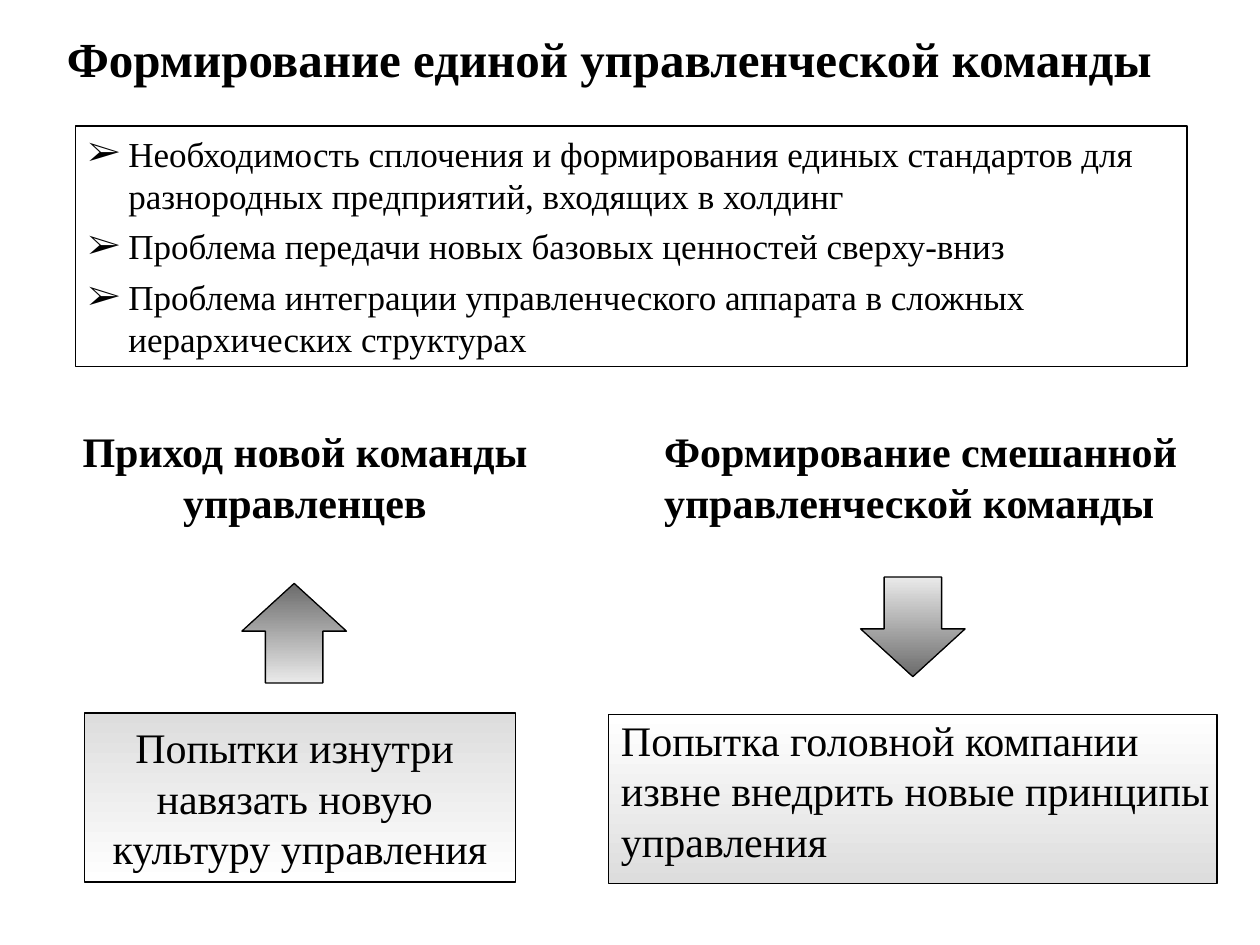
from dataclasses import dataclass

from lxml.etree import SubElement
from pptx import Presentation
from pptx.dml.color import RGBColor
from pptx.enum.shapes import MSO_SHAPE as Preset
from pptx.enum.text import MSO_ANCHOR as Anchor, MSO_AUTO_SIZE as AutoSize, PP_ALIGN as Align
from pptx.oxml.ns import qn
from pptx.util import Inches, Pt


@dataclass(frozen=True)
class Theme:
    font: str = "Times New Roman"
    ink: str = "000000"
    box_gradient: tuple[str, str] = ("DDDDDD", "FFFFFF")
    arrow_gradient: tuple[str, str] = ("6B6B6B", "EAEAEA")
    title_size: int = 28
    text_size: int = 24
    list_size: int = 20
    outline: float = 0.75


@dataclass(frozen=True)
class Area:
    left: float
    top: float
    width: float
    height: float

    def lengths(self) -> tuple:
        return tuple(Inches(v) for v in (self.left, self.top, self.width, self.height))


@dataclass(frozen=True)
class Heading:
    text: str
    area: Area
    size: int
    align: Align
    anchor: Anchor


@dataclass(frozen=True)
class Arrow:
    area: Area
    gradient: tuple[str, str]
    rotation: int


THEME = Theme()

HEADINGS = (
    Heading("Формирование единой управленческой команды",
            Area(0, 0.17, 9.67, 0.58), THEME.title_size, Align.CENTER, Anchor.MIDDLE),
    Heading("Приход новой команды управленцев",
            Area(0.42, 3.33, 4, 0.92), THEME.text_size, Align.CENTER, Anchor.TOP),
    Heading("Формирование смешанной управленческой команды",
            Area(5.17, 3.33, 4.42, 1), THEME.text_size, Align.LEFT, Anchor.TOP),
)
PROBLEMS = (
    "Необходимость сплочения и формирования единых стандартов для "
    "разнородных предприятий, входящих в холдинг",
    "Проблема передачи новых базовых ценностей сверху-вниз",
    "Проблема интеграции управленческого аппарата в сложных иерархических структурах",
)
INSIDE_ATTEMPT = ("Попытки изнутри ", "навязать новую ", "культуру управления")
OUTSIDE_ATTEMPT = ("Попытка головной компании", "извне внедрить новые принципы", "управления")
ARROWS = (
    Arrow(Area(1.92, 4.63, 0.83, 0.79), THEME.arrow_gradient, 0),
    Arrow(Area(6.83, 4.58, 0.83, 0.79), THEME.arrow_gradient[::-1], 180),
)


def write_text(shape, lines: tuple[str, ...], size: int, align: Align,
               anchor: Anchor = Anchor.TOP, bold: bool = False, wrap: bool = True) -> None:
    frame = shape.text_frame
    frame.text = "\n".join(lines)
    frame.word_wrap = wrap
    frame.auto_size = AutoSize.NONE
    frame.vertical_anchor = anchor
    for paragraph in frame.paragraphs:
        paragraph.alignment = align
        paragraph.space_before = Pt(0)
        for run in paragraph.runs:
            run.font.name = THEME.font
            run.font.size = Pt(size)
            run.font.bold = bold
            run.font.color.rgb = RGBColor.from_string(THEME.ink)


def fill_heading(placeholder, heading: Heading) -> None:
    placeholder.left, placeholder.top, placeholder.width, placeholder.height = heading.area.lengths()
    write_text(placeholder, (heading.text,), heading.size, heading.align, heading.anchor, bold=True)
    properties = placeholder.text_frame.paragraphs[0]._p.get_or_add_pPr()
    properties.set("marL", "0")
    properties.set("indent", "0")
    SubElement(properties, qn("a:buNone"))


def add_outlined(slide, preset: Preset, area: Area, gradient: tuple[str, str] | None = None):
    """Add a shape with a thin outline and, if given, a top-to-bottom gradient."""
    shape = slide.shapes.add_shape(preset, *area.lengths())
    shape.shadow.inherit = False
    shape.line.color.rgb = RGBColor.from_string(THEME.ink)
    shape.line.width = Pt(THEME.outline)
    if gradient is None:
        shape.fill.background()
        return shape
    shape.fill.gradient()
    shape.fill.gradient_angle = 270
    for stop, colour in zip(shape.fill.gradient_stops, gradient):
        stop.color.rgb = RGBColor.from_string(colour)
    return shape


def add_problem_list(slide, area: Area) -> None:
    box = add_outlined(slide, Preset.RECTANGLE, area)
    write_text(box, PROBLEMS, THEME.list_size, Align.LEFT)
    for index, paragraph in enumerate(box.text_frame.paragraphs):
        paragraph.space_before = Pt(5 if index else 0)
        properties = paragraph._p.get_or_add_pPr()
        properties.set("marL", str(Inches(0.32)))
        properties.set("indent", str(Inches(-0.32)))
        bullet_colour = SubElement(properties, qn("a:buClr"))
        SubElement(bullet_colour, qn("a:srgbClr"), val=THEME.ink)
        SubElement(properties, qn("a:buFont"), typeface=THEME.font)
        SubElement(properties, qn("a:buChar"), char="➢")


def add_arrow(slide, arrow: Arrow) -> None:
    """Add an arrow whose gradient stays upright when the arrow is turned."""
    shape = add_outlined(slide, Preset.UP_ARROW, arrow.area, arrow.gradient)
    shape.adjustments[0], shape.adjustments[1] = 0.55, 0.48
    shape.rotation = arrow.rotation
    shape._element.spPr.find(qn("a:gradFill")).set("rotWithShape", "0")


def main() -> None:
    deck = Presentation()
    deck.slide_width, deck.slide_height = Inches(10), Inches(7.5)
    slide = deck.slides.add_slide(deck.slide_layouts[3])

    for placeholder, heading in zip(slide.placeholders, HEADINGS):
        fill_heading(placeholder, heading)

    add_problem_list(slide, Area(0.6, 1, 8.82, 1.91))

    inside_box = add_outlined(slide, Preset.RECTANGLE, Area(0.67, 5.66, 3.42, 1.34),
                              THEME.box_gradient)
    write_text(inside_box, INSIDE_ATTEMPT, THEME.text_size, Align.CENTER, Anchor.MIDDLE, wrap=False)

    add_outlined(slide, Preset.RECTANGLE, Area(4.83, 5.67, 4.83, 1.34), THEME.box_gradient[::-1])
    outside_text = slide.shapes.add_textbox(*Area(4.83, 5.62, 5.1, 1.3).lengths())
    write_text(outside_text, OUTSIDE_ATTEMPT, THEME.text_size, Align.LEFT)

    for arrow in ARROWS:
        add_arrow(slide, arrow)

    deck.save("out.pptx")


if __name__ == "__main__":
    main()
